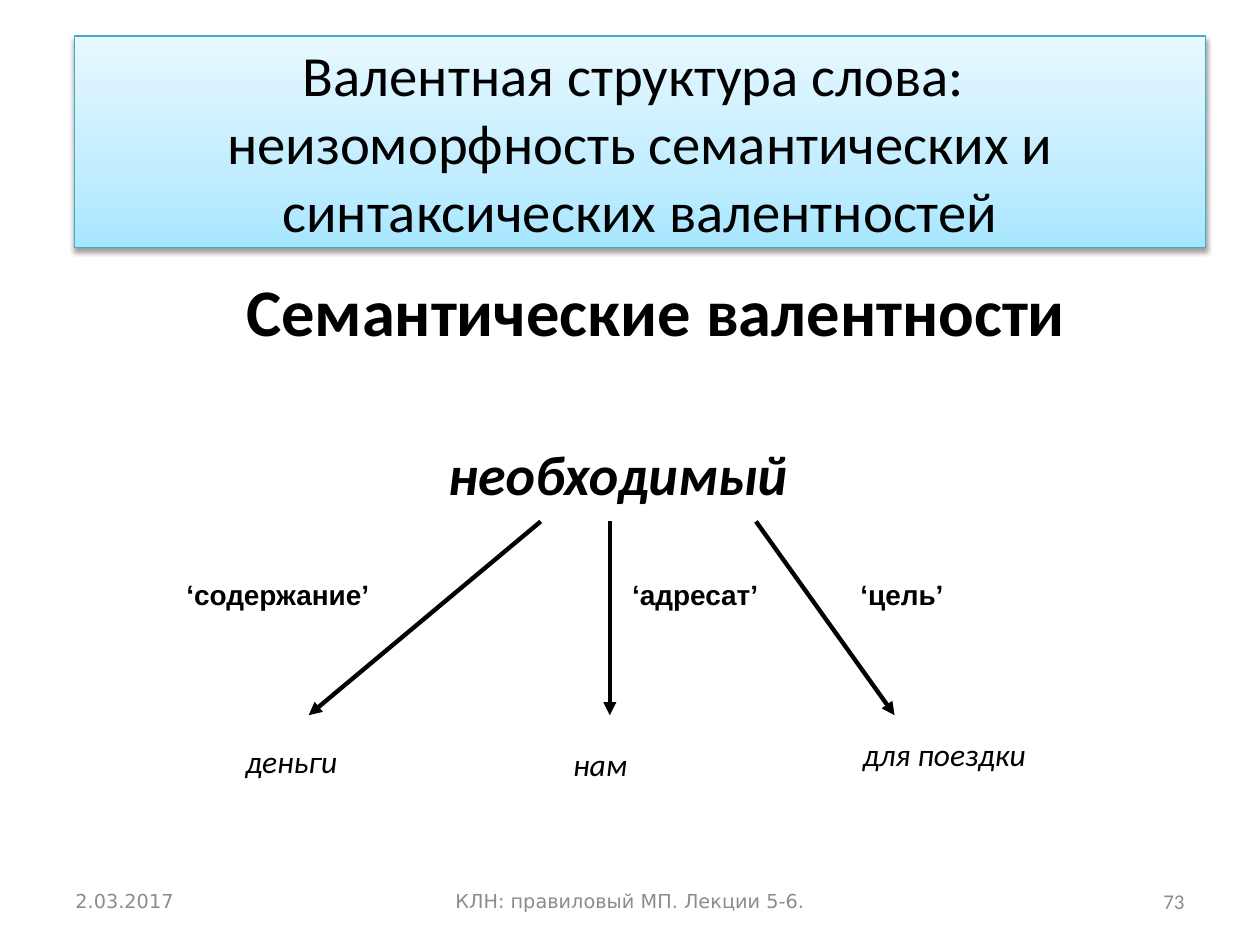
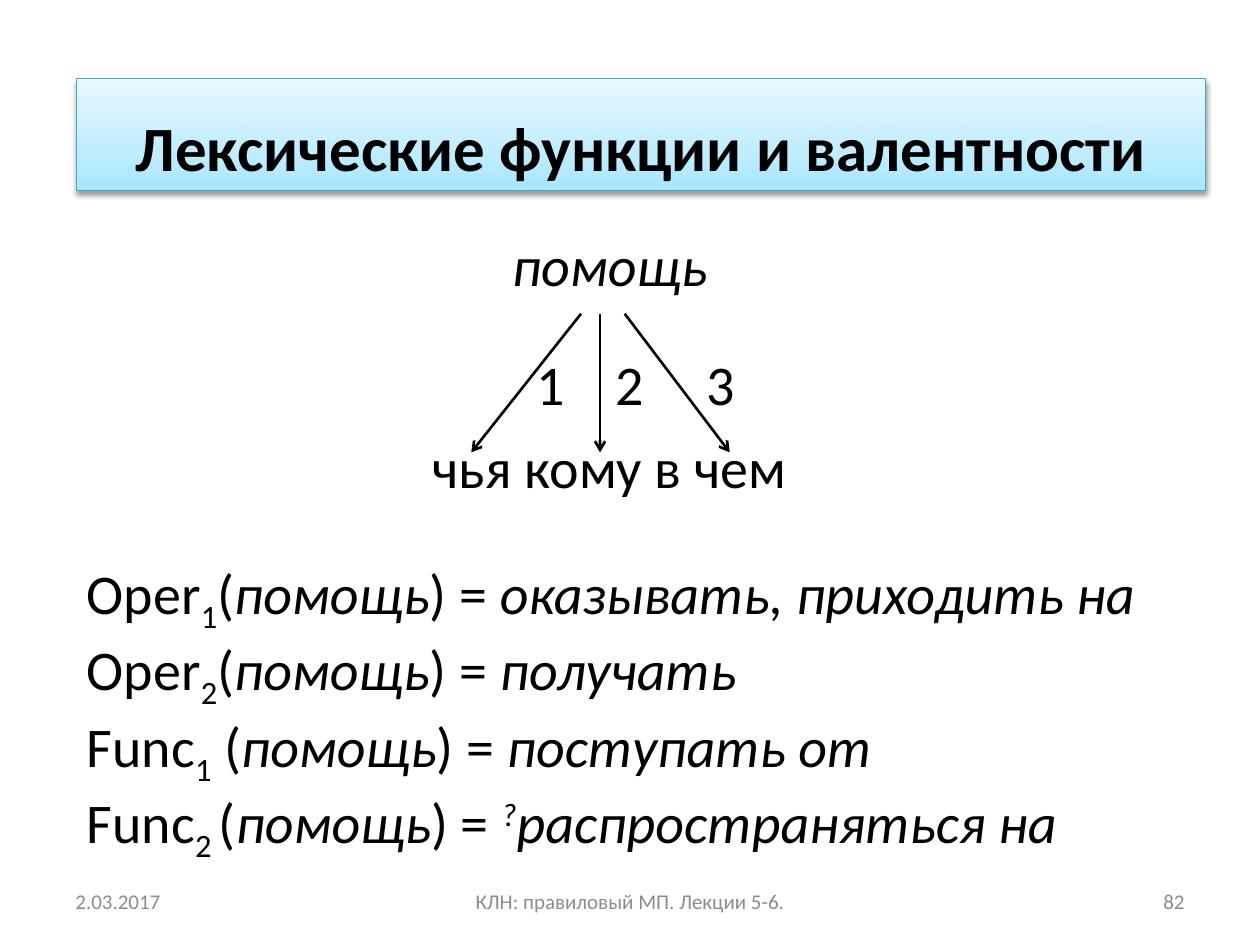
"""Build two lecture slides on semantic valency and lexical functions."""
from copy import deepcopy
from dataclasses import dataclass

from lxml import etree
from pptx import Presentation
from pptx.dml.color import RGBColor
from pptx.enum.shapes import MSO_CONNECTOR, MSO_SHAPE
from pptx.enum.text import MSO_ANCHOR, PP_ALIGN
from pptx.oxml.ns import qn
from pptx.util import Pt

LEFT, CENTER, RIGHT = PP_ALIGN.LEFT, PP_ALIGN.CENTER, PP_ALIGN.RIGHT
TOP, MIDDLE, BOTTOM = MSO_ANCHOR.TOP, MSO_ANCHOR.MIDDLE, MSO_ANCHOR.BOTTOM
RECTANGLE, STRAIGHT = MSO_SHAPE.RECTANGLE, MSO_CONNECTOR.STRAIGHT

BLACK = RGBColor(0x00, 0x00, 0x00)
GRAY = RGBColor(0x8C, 0x8C, 0x8C)
TEAL = RGBColor(0x46, 0xAA, 0xC5)
BAND_STOPS = (
    (0, RGBColor(0xA7, 0xE6, 0xFF)),
    (0.35, RGBColor(0xC1, 0xED, 0xFF)),
    (1, RGBColor(0xE7, 0xF8, 0xFF)),
)

BASE = {"name": "Calibri", "size": Pt(18)}
ITALIC = {"italic": True}
BIG = {"size": Pt(32)}
ROLE = {"name": "Arial", "size": Pt(16), "bold": True}
FOOTER = {"size": Pt(12)}
FOOTER_WIDE = {"name": "DejaVu Sans", "size": Pt(11)}


@dataclass(frozen=True)
class Label:
    """Text with its box and format."""

    text: str
    x: float
    y: float
    w: float
    h: float
    style: dict
    align: PP_ALIGN = LEFT
    anchor: MSO_ANCHOR = TOP
    color: RGBColor = BLACK


@dataclass(frozen=True)
class Arrow:
    """Straight arrow between two points."""

    x1: float
    y1: float
    x2: float
    y2: float
    width: float
    head: str


@dataclass(frozen=True)
class LexicalFunction:
    """Lexical function of a word and its value."""

    name: str
    index: str
    opening: str
    value: str
    mark: str = ""


WORD = "помощь"
TITLES = (
    Label("Валентная структура слова: \vнеизоморфность семантических и "
          "синтаксических валентностей", 42.5, 20.6, 646.5, 121,
          {"size": Pt(32.4)}, CENTER, MIDDLE),
    Label("Лексические функции и валентности", 43.8, 44.8, 645, 64,
          {"size": Pt(36), "bold": True}, CENTER, BOTTOM),
)
VALENCY_LABELS = (
    Label("Семантические валентности", 75, 151, 600, 54,
          {"size": Pt(38), "bold": True}, CENTER),
    Label("необходимый", 203, 247.5, 300, 46, {**BIG, "bold": True, **ITALIC}, CENTER),
    *(Label(text, x, 326.6, 124.5, 26.6, ROLE)
      for text, x in (("‘содержание’", 99.4), ("‘адресат’", 354.2), ("‘цель’", 484.6))),
    *(Label(text, x, y, 135, 29, ITALIC)
      for text, x, y in (("деньги", 133.2, 420.5), ("нам", 320.4, 422.2),
                         ("для поездки", 486, 416.6))),
)
VALENCY_ARROWS = tuple(
    Arrow(x1, 298, x2, 408.7, 2.5, "triangle")
    for x1, x2 in ((309, 176.4), (348.5, 348.5), (432, 511.2))
)
FUNCTION_LABELS = (
    Label(WORD, 239, 128, 219, 46, {**BIG, **ITALIC}, CENTER),
    Label("чья кому в чем", 198.3, 243.5, 300, 46, BIG, CENTER),
    *(Label(str(i), x, 196.2, 32, 46, BIG)
      for i, x in enumerate((299.5, 344.6, 396.6), 1)),
)
FUNCTION_ARROWS = tuple(
    Arrow(x1, 179.3, x2, 258.5, 1.5, "arrow")
    for x1, x2 in ((332, 269.3), (357, 417), (342.9, 342.9))
)
FUNCTIONS = (
    LexicalFunction("Oper", "1", "(", "оказывать, приходить на"),
    LexicalFunction("Oper", "2", "(", "получать"),
    LexicalFunction("Func", "1", " (", "поступать от"),
    LexicalFunction("Func", "2 ", "(", "распространяться на", "?"),
)


def apply_format(font, style: dict, color: RGBColor = BLACK) -> None:
    """Set the font attributes over the shared base."""
    for key, value in {**BASE, **style}.items():
        setattr(font, key, value)
    font.color.rgb = color


def write(sp, label: Label) -> None:
    """Fill a shape with the text of a label."""
    tf = sp.text_frame
    tf.word_wrap = True
    tf.vertical_anchor = label.anchor
    p = tf.paragraphs[0]
    p.text = label.text
    p.alignment = label.align
    for r in p.runs:
        apply_format(r.font, label.style, label.color)


def add_label(s, label: Label) -> None:
    """Draw a label as a text box."""
    box = map(Pt, (label.x, label.y, label.w, label.h))
    write(s.shapes.add_textbox(*box), label)


def add_title(s, label: Label) -> None:
    """Draw the gradient title band with its shadow."""
    box = map(Pt, (label.x, label.y, label.w, label.h))
    sp = s.shapes.add_shape(RECTANGLE, *box)
    sp.fill.gradient()
    sp.fill.gradient_angle = 90
    sp_pr = sp._element.spPr
    stops = sp_pr.find(".//" + qn("a:gsLst"))
    stops.append(deepcopy(stops[0]))
    for stop, (position, color) in zip(sp.fill.gradient_stops, BAND_STOPS):
        stop.position = position
        stop.color.rgb = color
    sp.line.color.rgb = TEAL
    sp.line.width = Pt(0.75)
    sp.shadow.inherit = False
    shadow = etree.SubElement(
        sp_pr.find(qn("a:effectLst")), qn("a:outerShdw"), blurRad=str(Pt(3.1)),
        dist=str(Pt(1.6)), dir="5400000", rotWithShape="0")
    black = etree.SubElement(shadow, qn("a:srgbClr"), val=str(BLACK))
    etree.SubElement(black, qn("a:alpha"), val="38000")
    write(sp, label)


def add_arrow(s, arrow: Arrow) -> None:
    """Draw a black arrow."""
    ends = map(Pt, (arrow.x1, arrow.y1, arrow.x2, arrow.y2))
    line = s.shapes.add_connector(STRAIGHT, *ends)
    line.line.color.rgb = BLACK
    line.line.width = Pt(arrow.width)
    sp_pr = line._element.spPr
    etree.SubElement(sp_pr.find(qn("a:ln")), qn("a:tailEnd"), type=arrow.head)
    etree.SubElement(sp_pr, qn("a:effectLst"))


def add_functions(s, functions: tuple[LexicalFunction, ...]) -> None:
    """List the lexical functions, one a paragraph."""
    tf = s.shapes.add_textbox(Pt(42.5), Pt(315.4), Pt(640), Pt(163)).text_frame
    tf.word_wrap = True
    for i, function in enumerate(functions):
        p = tf.add_paragraph() if i else tf.paragraphs[0]
        runs = (
            (function.name, {}, 0),
            (function.index, {}, -25),
            (function.opening, {}, 0),
            (WORD, ITALIC, 0),
            (") = ", {}, 0),
            (function.mark, ITALIC, 30),
            (function.value, ITALIC, 0),
        )
        for text, style, baseline in runs:
            if not text:
                continue
            r = p.add_run()
            r.text = text
            apply_format(r.font, {**BIG, **style})
            if baseline:
                r.font._element.set("baseline", str(baseline * 1000))


def add_slide(prs, title: Label, labels: tuple[Label, ...],
              arrows: tuple[Arrow, ...], number: int, footer: dict):
    """Add a slide with its title, diagram and footer."""
    s = prs.slides.add_slide(prs.slide_layouts[6])
    add_title(s, title)
    for arrow in arrows:
        add_arrow(s, arrow)
    footers = (
        ("2.03.2017", 36, 168, footer, LEFT),
        ("КЛН: правиловый МП. Лекции 5-6.", 246, 228, footer, CENTER),
        (str(number), 516, 168, FOOTER, RIGHT),
    )
    for label in labels:
        add_label(s, label)
    for text, x, w, style, align in footers:
        add_label(s, Label(text, x, 500.5, w, 28.8, style, align, MIDDLE, GRAY))
    return s


def main() -> None:
    """Build and save the presentation."""
    prs = Presentation()
    prs.slide_width, prs.slide_height = Pt(720), Pt(540)
    add_slide(prs, TITLES[0], VALENCY_LABELS, VALENCY_ARROWS, 73, FOOTER_WIDE)
    s = add_slide(prs, TITLES[1], FUNCTION_LABELS, FUNCTION_ARROWS, 82, FOOTER)
    add_functions(s, FUNCTIONS)
    prs.save("out.pptx")


if __name__ == "__main__":
    main()
